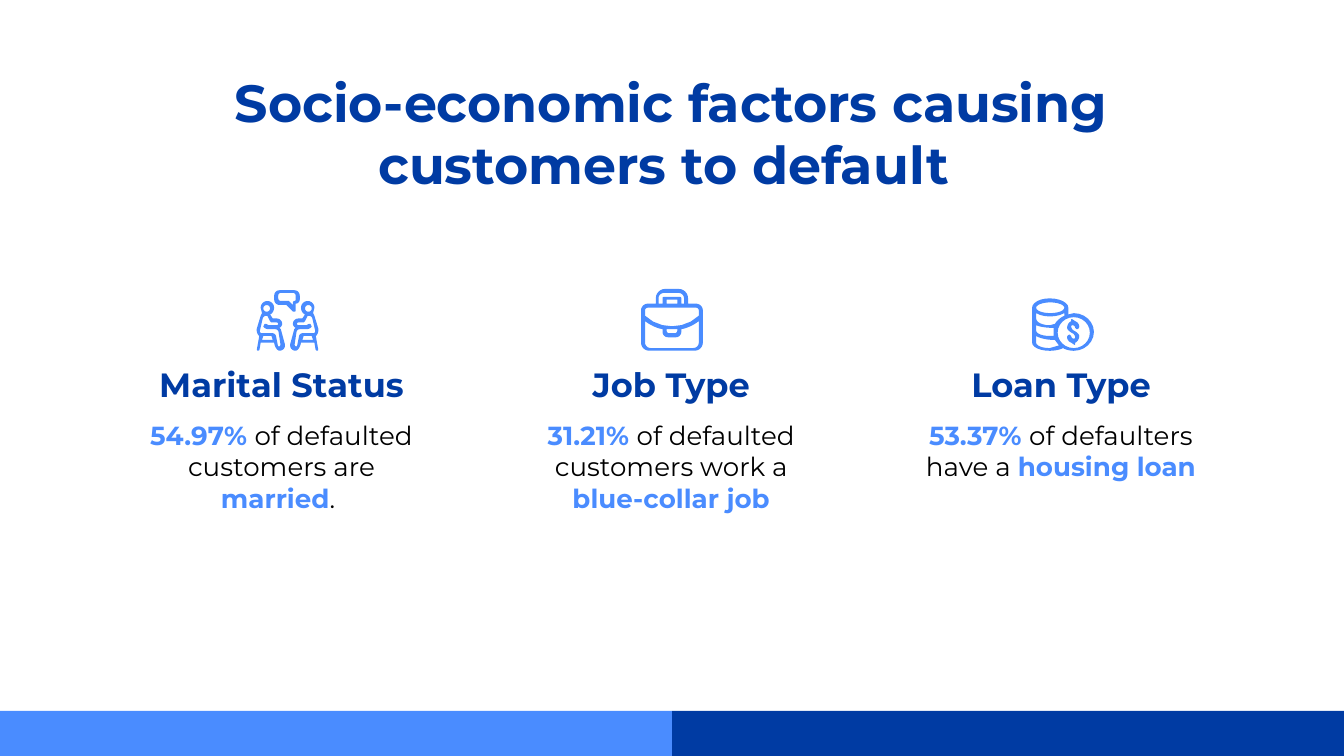
from math import hypot

from pptx import Presentation
from pptx.dml.color import RGBColor
from pptx.enum.shapes import MSO_SHAPE
from pptx.enum.text import MSO_ANCHOR, MSO_AUTO_SIZE, PP_ALIGN
from pptx.util import Inches, Pt

RECT = MSO_SHAPE.RECTANGLE
TOP = MSO_ANCHOR.TOP
NO_FIT = MSO_AUTO_SIZE.NONE
CENTER = PP_ALIGN.CENTER
FONT = "Montserrat"
COLORS = {"navy": "003BA3", "blue": "4A8CFF", "black": "000000"}
ROUND = 1
CURVE = 0.55
STEPS = 6

FACTORS = [
    ("Marital Status", [("54.97% ", True), ("of defaulted customers are ", False),
                        ("married", True), (". ", False)]),
    ("Job Type", [("31.21% ", True), ("of defaulted customers work a ", False),
                  ("blue-collar job", True)]),
    ("Loan Type", [("53.37% ", True), ("of defaulters have a ", False),
                   ("housing loan", True)]),
]


def oval(left, top, right, bottom):
    x, y = (left + right) / 2, (top + bottom) / 2
    return [(left, y), (left, top, ROUND), (x, top), (right, top, ROUND),
            (right, y), (right, bottom, ROUND), (x, bottom), (left, bottom, ROUND)]


def box(left, top, right, bottom):
    return [(left, top), (right, top), (right, bottom), (left, bottom)]


def mirror(contours, axis):
    return [[(2 * axis - x, *rest) for x, *rest in c] for c in contours]


BRIEFCASE = [
    [(4.77, 2.61, .06), (4.77, 2.26, .05), (4.88, 2.26), (4.88, 2.15, .07),
     (5.12, 2.15, .07), (5.12, 2.26), (5.23, 2.26, .05), (5.23, 2.61, .06)],
    [(4.9, 2.26), (4.9, 2.18, .04), (5.09, 2.18, .04), (5.09, 2.26),
     (5.07, 2.26), (5.07, 2.21, .01), (4.93, 2.21, .01), (4.93, 2.26)],
    box(4.96, 2.23, 5.04, 2.26),
    [(4.8, 2.35), (4.8, 2.29, .02), (5.2, 2.29, .02), (5.2, 2.35), (5, 2.54, ROUND)],
    [(4.96, 2.45), (5.04, 2.45), (5.04, 2.48, .02), (4.96, 2.48, .02)],
    [(4.8, 2.39), (4.86, 2.44, ROUND), (4.93, 2.45), (4.93, 2.51, .04),
     (5.07, 2.51, .04), (5.07, 2.45), (5.14, 2.44, ROUND), (5.2, 2.39),
     (5.2, 2.59, .04), (4.8, 2.59, .04)],
]

COINS = [
    [(7.68, 2.29), (7.68, 2.55), (7.68, 2.61, ROUND), (7.81, 2.61),
     (7.88, 2.61, ROUND), (7.91, 2.59), (7.94, 2.61, ROUND), (7.99, 2.61),
     (8.14, 2.61, ROUND), (8.14, 2.47), (8.14, 2.33, ROUND), (7.99, 2.33),
     (7.95, 2.34), (7.95, 2.29), (7.95, 2.22, ROUND), (7.81, 2.22),
     (7.68, 2.22, ROUND)],
    oval(7.71, 2.25, 7.92, 2.33),
    [(7.92, 2.33), (7.92, 2.35), (7.87, 2.37, ROUND), (7.85, 2.41), (7.81, 2.42),
     (7.71, 2.42, ROUND), (7.71, 2.37), (7.71, 2.33), (7.81, 2.39, ROUND)],
    [(7.71, 2.42), (7.75, 2.44, ROUND), (7.84, 2.44), (7.84, 2.5), (7.81, 2.5),
     (7.71, 2.5, ROUND), (7.71, 2.46)],
    [(7.71, 2.5), (7.75, 2.53, ROUND), (7.85, 2.53), (7.88, 2.57), (7.81, 2.59),
     (7.71, 2.59, ROUND), (7.71, 2.55)],
    oval(7.87, 2.36, 8.11, 2.59),
]

HALF_DOLLAR = [
    (7.97, 2.37, .01), (7.97, 2.39), (7.94, 2.4, ROUND), (7.94, 2.44),
    (7.94, 2.46, ROUND), (7.98, 2.48), (8, 2.49, ROUND), (8, 2.51),
    (8, 2.52, ROUND), (7.99, 2.52), (7.97, 2.52, ROUND), (7.97, 2.5),
    (7.96, 2.49), (7.94, 2.49, ROUND), (7.94, 2.51), (7.94, 2.54, ROUND), (7.97, 2.55),
]
DOLLAR = [HALF_DOLLAR + [(15.97 - x, 4.94 - y, *r) for x, y, *r in HALF_DOLLAR]]

PERSON = [
    [(1.99, 2.24), (1.94, 2.24, ROUND), (1.94, 2.29), (1.95, 2.33), (1.94, 2.35),
     (1.91, 2.45), (1.91, 2.49, ROUND), (1.93, 2.5), (1.91, 2.61, .01),
     (1.93, 2.61, .01), (1.94, 2.55), (2.04, 2.55), (2.05, 2.61, ROUND),
     (2.08, 2.61), (2.13, 2.61, ROUND), (2.12, 2.56), (2.09, 2.45), (2.08, 2.44),
     (2.1, 2.43, ROUND), (2.1, 2.41), (2.1, 2.37, ROUND), (2.06, 2.37),
     (2.03, 2.37), (2.01, 2.34), (2.04, 2.33, ROUND), (2.04, 2.29),
     (2.04, 2.24, ROUND)],
    oval(1.96, 2.27, 2.01, 2.32),
    [(2.02, 2.5), (2.03, 2.53), (1.95, 2.53), (1.96, 2.5)],
    [(1.96, 2.35, .02), (1.99, 2.35), (2.01, 2.39), (2.02, 2.4), (2.07, 2.4, .01),
     (2.07, 2.42, .01), (2, 2.42), (1.98, 2.41), (1.97, 2.41), (1.96, 2.43),
     (1.97, 2.45, ROUND), (2, 2.45), (2.07, 2.45, .02), (2.09, 2.58, .02),
     (2.07, 2.58, .01), (2.05, 2.48, .02), (1.93, 2.48, .02)],
]

BUBBLE = [
    [(2.04, 2.16, .04), (2.23, 2.16, .04), (2.23, 2.26, .03), (2.2, 2.26),
     (2.2, 2.32, .01), (2.18, 2.32), (2.13, 2.27), (2.04, 2.27, .04)],
    [(2.07, 2.18, .02), (2.2, 2.18, .02), (2.2, 2.24, .01), (2.18, 2.24, .01),
     (2.18, 2.27), (2.15, 2.24), (2.07, 2.24, .02)],
]


def toward(a, b, share):
    return a[0] + (b[0] - a[0]) * share, a[1] + (b[1] - a[1]) * share


def outline(corners):
    points = []
    for i, (x, y, *radius) in enumerate(corners):
        p = (x, y)
        if not radius:
            points.append(p)
            continue
        ends = []
        for q in (corners[i - 1], corners[(i + 1) % len(corners)]):
            length = hypot(q[0] - x, q[1] - y)
            ends.append(toward(p, q, min(1, radius[0] / length)))
        a, d = ends
        b, c = toward(a, p, CURVE), toward(d, p, CURVE)
        for step in range(STEPS + 1):
            t = step / STEPS
            weights = ((1 - t) ** 3, 3 * t * (1 - t) ** 2, 3 * t * t * (1 - t), t ** 3)
            points.append(tuple(sum(w * v[k] for w, v in zip(weights, (a, b, c, d)))
                                for k in (0, 1)))
    return [(Inches(x), Inches(y)) for x, y in points]


def paint(sp, color):
    sp.shadow.inherit = False
    sp.fill.solid()
    sp.fill.fore_color.rgb = RGBColor.from_string(COLORS[color])
    sp.line.fill.background()


def add_icon_part(shapes, contours):
    first, *others = [outline(c) for c in contours]
    builder = shapes.build_freeform(*first[0], scale=1.0)
    builder.add_line_segments(first[1:], close=True)
    for points in others:
        builder.move_to(*points[0])
        builder.add_line_segments(points[1:], close=True)
    paint(builder.convert_to_shape(), "blue")


def add_bar(slide, left, color):
    sp = slide.shapes.add_shape(RECT, Inches(left), Inches(5.29), Inches(5), Inches(0.34))
    paint(sp, color)


def write(sp, runs, size):
    tf = sp.text_frame
    tf.word_wrap = True
    tf.auto_size = NO_FIT
    tf.vertical_anchor = TOP
    tf.margin_left = tf.margin_right = tf.margin_top = tf.margin_bottom = Inches(0.1)
    p = tf.paragraphs[0]
    p.alignment = CENTER
    for text, color, bold in runs:
        r = p.add_run()
        r.text = text
        r.font.name = FONT
        r.font.size = Pt(size)
        r.font.bold = bold
        r.font.color.rgb = RGBColor.from_string(COLORS[color])


def add_title(slide, text):
    sp = slide.shapes.title
    sp.left, sp.top, sp.width, sp.height = map(Inches, (0.78, 0.42, 8.43, 0.63))
    write(sp, [(text, "navy", True)], 28)


def add_text(slide, left, top, height, runs, size):
    sp = slide.shapes.add_textbox(Inches(left), Inches(top), Inches(2.47), Inches(height))
    write(sp, runs, size)
    sp.text_frame.paragraphs[0].space_after = Pt(16)


def main():
    prs = Presentation()
    prs.slide_width = Inches(10)
    prs.slide_height = prs.slide_width * 9 // 16
    slide = prs.slides.add_slide(prs.slide_layouts[5])
    add_bar(slide, 5, "navy")
    add_bar(slide, 0, "blue")
    add_title(slide, "Socio-economic factors causing customers to default ")
    for i, (heading, parts) in enumerate(FACTORS):
        left = 0.86 + 2.9 * i
        add_text(slide, left, 2.61, 0.45, [(heading, "navy", True)], 18)
        runs = [(text, "blue" if key else "black", key) for text, key in parts]
        add_text(slide, left, 3.02, 0.79, runs, 14)
    add_icon_part(slide.shapes, BRIEFCASE)
    for icon in ([COINS, DOLLAR], [PERSON, mirror(PERSON, 2.14), BUBBLE]):
        group = slide.shapes.add_group_shape()
        for contours in icon:
            add_icon_part(group.shapes, contours)
    prs.save("out.pptx")


if __name__ == "__main__":
    main()
